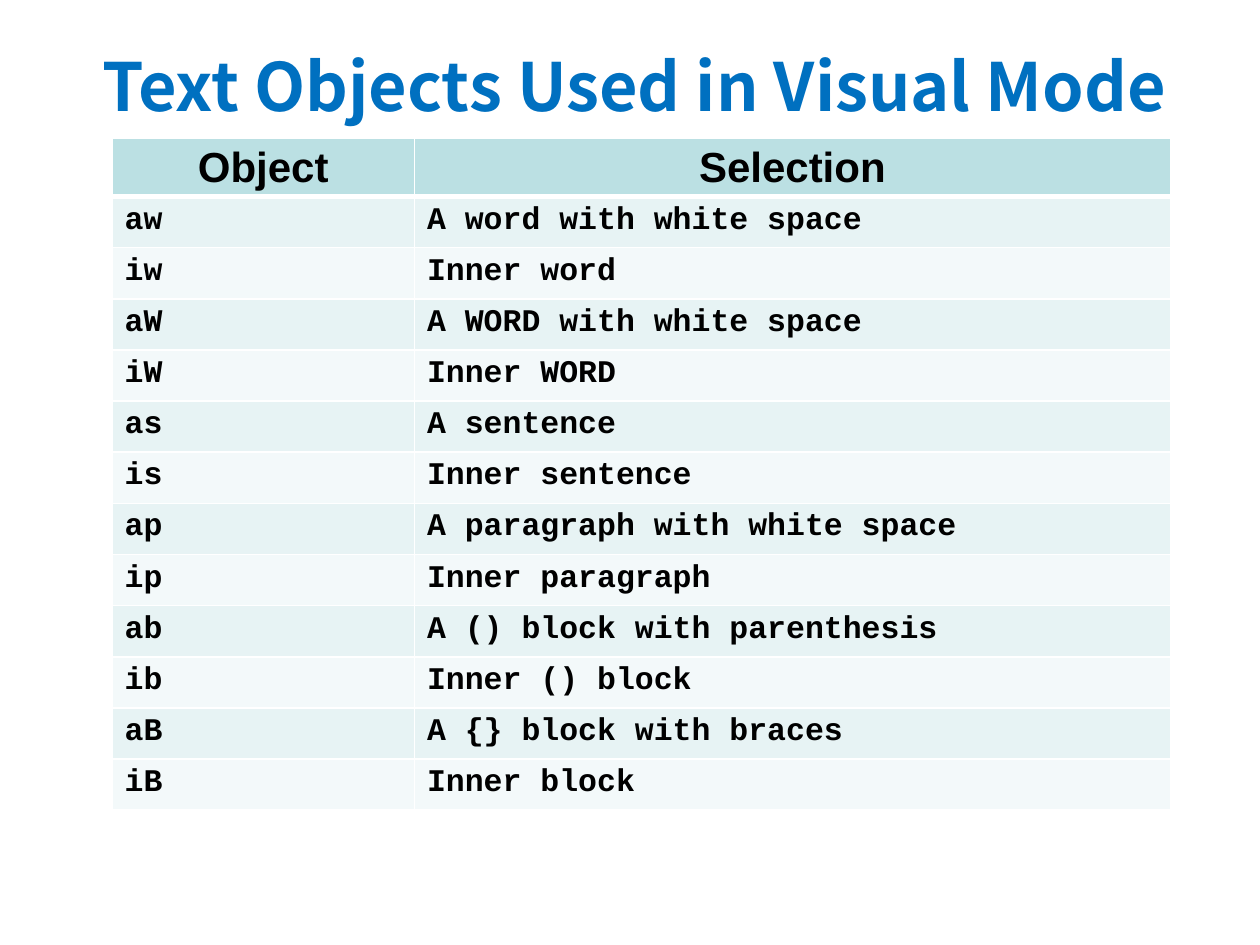
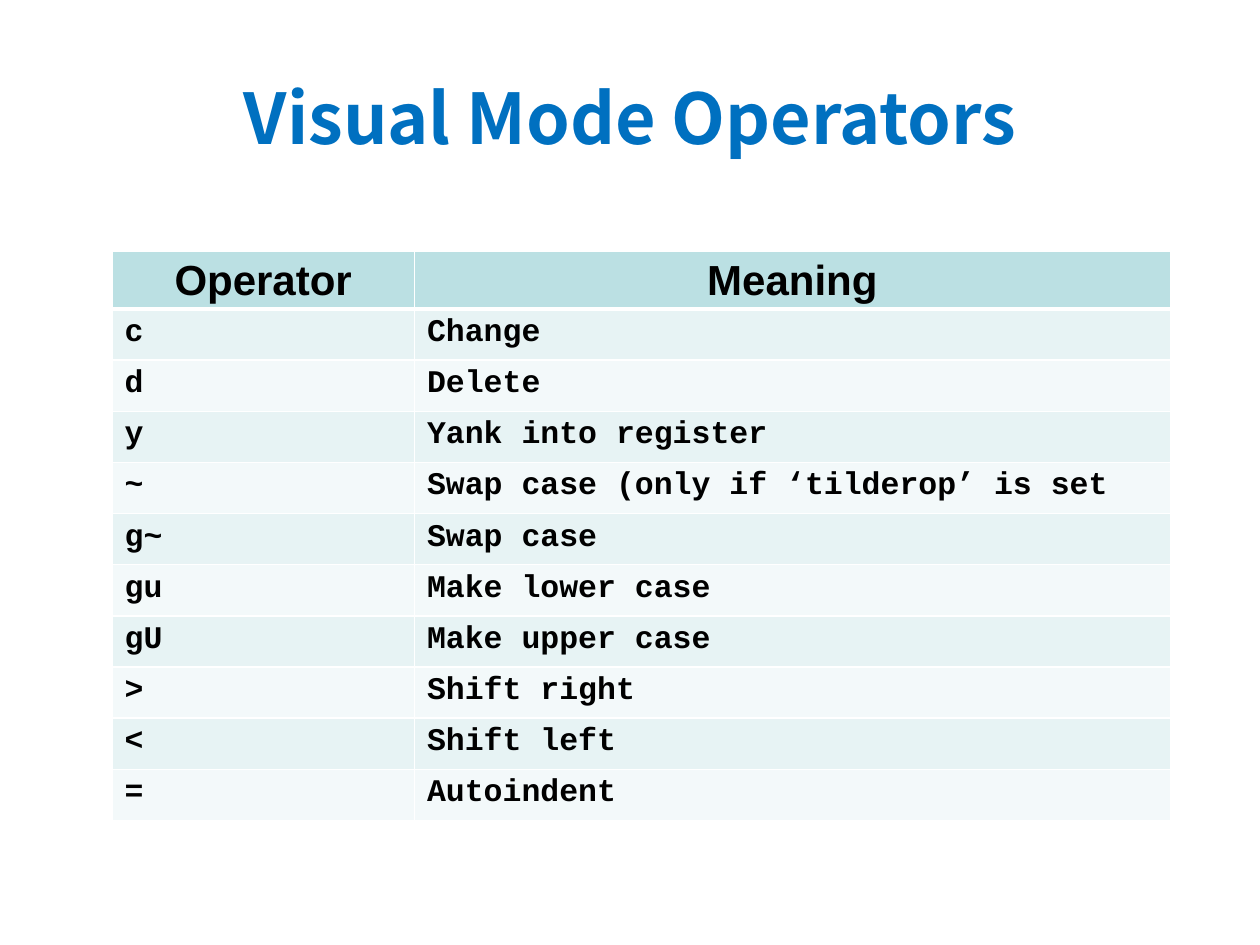
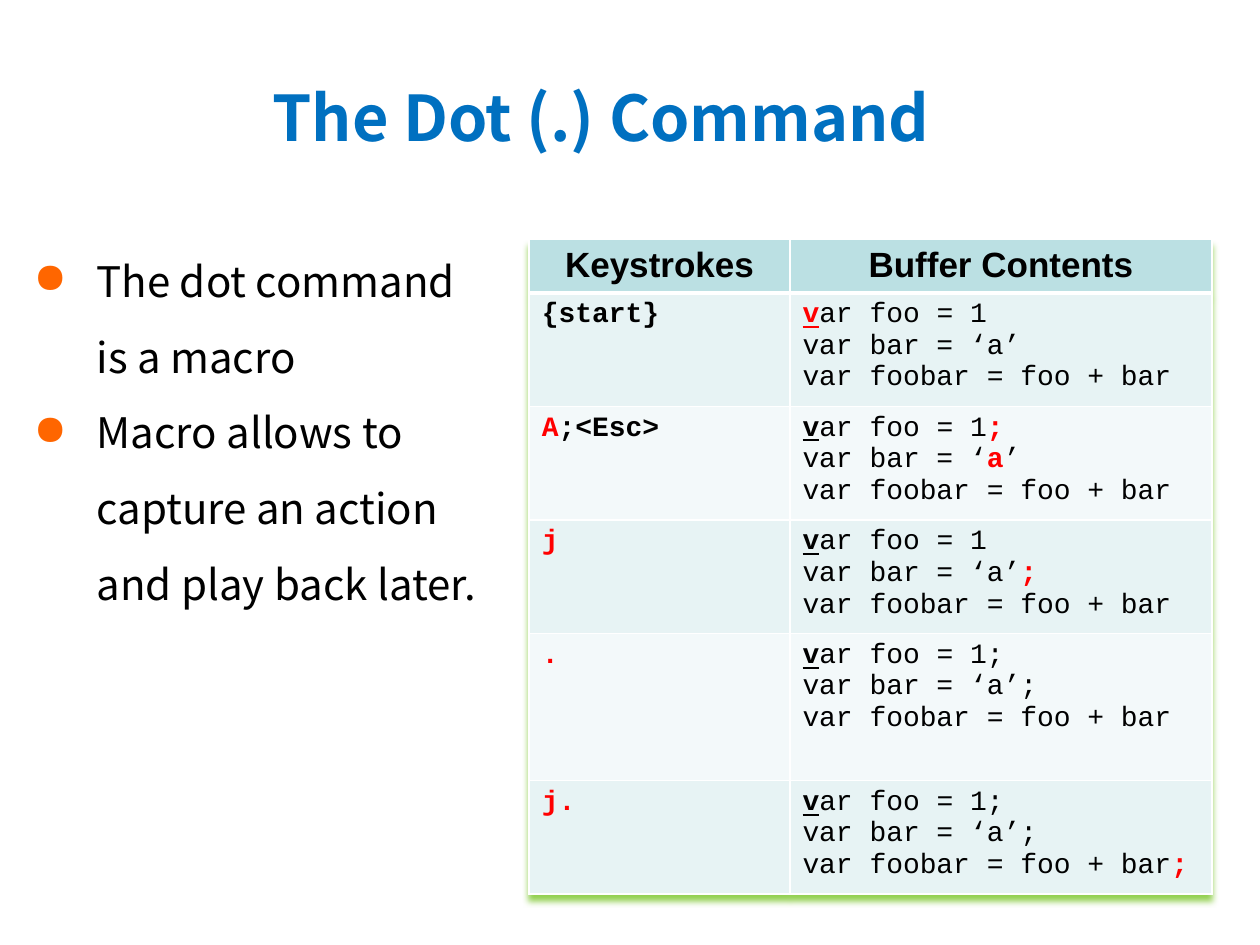
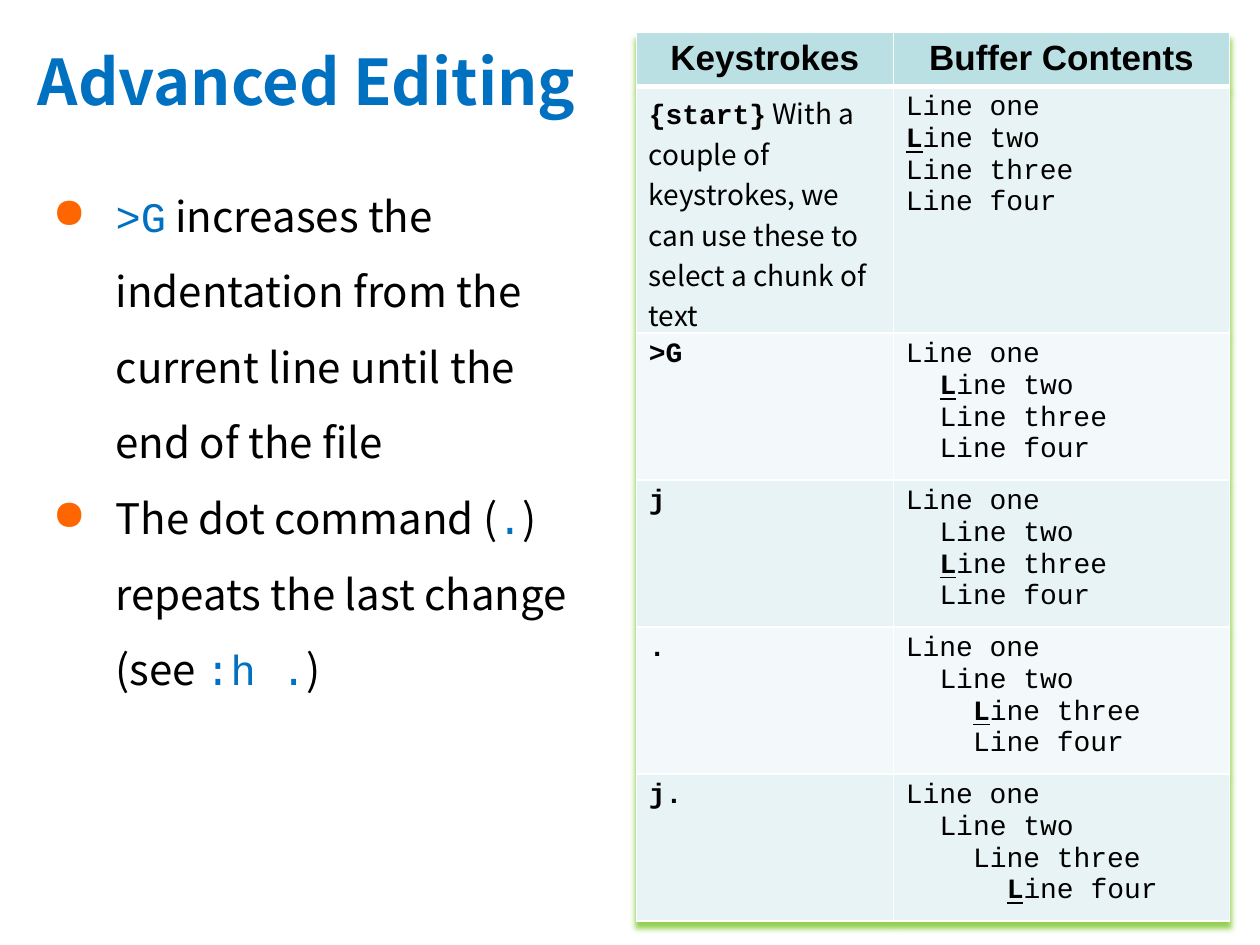
from pptx import Presentation
from pptx.dml.color import RGBColor
from pptx.enum.text import MSO_ANCHOR as Anchor, MSO_AUTO_SIZE as AutoSize, PP_ALIGN as Align
from pptx.oxml import parse_xml
from pptx.oxml.ns import nsdecls
from pptx.util import Pt

BLUE = RGBColor(0x00, 0x70, 0xC0)
BLACK = RGBColor(0x00, 0x00, 0x00)
RED = RGBColor(0xFF, 0x00, 0x00)
ORANGE = RGBColor(0xFF, 0x66, 0x00)
WHITE = RGBColor(0xFF, 0xFF, 0xFF)
GREEN = RGBColor(0x92, 0xD0, 0x50)
HEADER_FILL = RGBColor(0xBB, 0xE0, 0xE3)
BAND_FILLS = [RGBColor(0xE7, 0xF3, 0xF4), RGBColor(0xF3, 0xF9, 0xFA)]

SANS, CODE = "Noto Sans CJK SC", "Courier New"

# Span formats
HOT = {"color": RED, "bold": True}
CURSOR = {"bold": True, "underline": True}
HOT_CURSOR = {**CURSOR, "color": RED}
COMMAND = {"name": CODE, "color": BLUE}
PROSE = {"name": SANS, "bold": False}


def write(para, spans, base):
    """Write plain strings or (text, format) pairs over a base format."""
    for item in [spans] if isinstance(spans, str) else spans:
        text, extra = (item, {}) if isinstance(item, str) else item
        span = para.add_run()
        span.text = text
        for key, value in {**base, **extra}.items():
            if key == "color":
                span.font.color.rgb = value
            else:
                setattr(span.font, key, value)


def add_grid(page, left, top, widths, heights, rows, header_size, code_size, code_bold, shadow):
    """Add a banded table; each body cell is a list of (indent level, spans) lines."""
    frame = page.shapes.add_table(len(rows), len(widths), Pt(left), Pt(top),
                                  Pt(sum(widths)), Pt(sum(heights)))
    grid = frame.table
    for column, width in zip(grid.columns, widths):
        column.width = Pt(width)
    for row, height in zip(grid.rows, heights):
        row.height = Pt(height)
    if shadow:
        grid._tbl.tblPr.insert(0, parse_xml(
            f'<a:effectLst {nsdecls("a")}><a:outerShdw blurRad="40000" dist="50000" dir="5400000">'
            f'<a:srgbClr val="{GREEN}"/></a:outerShdw></a:effectLst>'))
    for r, row in enumerate(rows):
        for c, lines in enumerate(row):
            cell = grid.cell(r, c)
            for side in "LRTB":
                heavy = (r == 0 and side == "B") or (r == 1 and side == "T")
                cell._tc.get_or_add_tcPr().append(parse_xml(
                    f'<a:ln{side} {nsdecls("a")} w="{Pt(3 if heavy else 1)}"><a:solidFill>'
                    f'<a:srgbClr val="{WHITE}"/></a:solidFill></a:ln{side}>'))
            cell.fill.solid()
            cell.fill.fore_color.rgb = BAND_FILLS[(r - 1) % 2] if r else HEADER_FILL
            cell.margin_bottom = 0
            if r == 0:
                para = cell.text_frame.paragraphs[0]
                para.alignment = Align.CENTER
                write(para, lines, {"name": "Arial", "size": Pt(header_size),
                                    "color": BLACK, "bold": True})
                continue
            base = {"name": CODE, "size": Pt(code_size), "color": BLACK,
                    "bold": c == 0 or code_bold}
            for i, (level, spans) in enumerate(lines):
                para = cell.text_frame.add_paragraph() if i else cell.text_frame.paragraphs[0]
                if level:
                    para._p.get_or_add_pPr().set("marL", str(Pt(19.2 * level)))
                write(para, spans, base)


deck = Presentation()
deck.slide_width, deck.slide_height = Pt(720), Pt(540)

# Titles: text, size, place, alignment
titles = [
    ("Text Objects Used in Visual Mode", 38, (23, 3.6, 679, 90), Align.CENTER),
    ("Visual Mode Operators", 40, (36, 21.6, 648, 90), Align.CENTER),
    ("The Dot (.) Command", 36, (23, 21.6, 641, 90), Align.CENTER),
    ("Advanced Editing", 36, (14.4, 0.7, 648, 90), Align.LEFT),
]
pages = []
for text, size, place, align in titles:
    page = deck.slides.add_slide(deck.slide_layouts[5])
    box = page.shapes.title
    box.left, box.top, box.width, box.height = [Pt(v) for v in place]
    frame = box.text_frame
    for key, value in {"word_wrap": True, "auto_size": AutoSize.NONE,
                       "vertical_anchor": Anchor.MIDDLE}.items():
        setattr(frame, key, value)
    frame.paragraphs[0].alignment = align
    write(frame.paragraphs[0], text,
          {"name": SANS, "size": Pt(size), "color": BLUE, "bold": True})
    pages.append(page)

# Slides 1 and 2: reference tables
text_objects = [
    ("Object", "Selection"),
    ("aw", "A word with white space"),
    ("iw", "Inner word"),
    ("aW", "A WORD with white space"),
    ("iW", "Inner WORD"),
    ("as", "A sentence"),
    ("is", "Inner sentence"),
    ("ap", "A paragraph with white space"),
    ("ip", "Inner paragraph"),
    ("ab", "A () block with parenthesis"),
    ("ib", "Inner () block"),
    ("aB", "A {} block with braces"),
    ("iB", "Inner block"),
]
operators = [
    ("Operator", "Meaning"),
    ("c", "Change"),
    ("d", "Delete"),
    ("y", "Yank into register"),
    ("~", "Swap case (only if ‘tilderop’ is set"),
    ("g~", "Swap case"),
    ("gu", "Make lower case"),
    ("gU", "Make upper case"),
    (">", "Shift right"),
    ("<", "Shift left"),
    ("=", "Autoindent"),
]
for page, top, entries in [(pages[0], 79.2, text_objects), (pages[1], 143.5, operators)]:
    rows = [entries[0]] + [[[(0, text)] for text in entry] for entry in entries[1:]]
    heights = [33.1] + [29.25] * (len(rows) - 1)
    add_grid(page, 64, top, [172.8, 432], heights, rows, 24, 18, True, False)

# Slides 3 and 4: bullets
bullets = [
    (pages[2], (12.2, 128.2, 273.6, 225.4), [
        "The dot command is a macro",
        "Macro allows to capture an action and play back later.",
    ]),
    (pages[3], (23, 90.7, 315.4, 312.5), [
        [(">G", COMMAND),
         " increases the indentation from the current line until the end of the file"],
        ["The dot command (", (".", COMMAND), ") repeats the last change (see ",
         (":h .", COMMAND), ")"],
    ]),
]
for page, place, items in bullets:
    frame = page.shapes.add_textbox(*[Pt(v) for v in place]).text_frame
    frame.word_wrap = True
    for i, spans in enumerate(items):
        para = frame.add_paragraph() if i else frame.paragraphs[0]
        para.line_spacing = 1.5
        props = para._p.get_or_add_pPr()
        props.set("marL", str(Pt(36)))
        props.set("indent", str(-Pt(36)))
        props.append(parse_xml(
            f'<a:buClr {nsdecls("a")}><a:srgbClr val="{ORANGE}"/></a:buClr>'))
        props.append(parse_xml(f'<a:buChar {nsdecls("a")} char="●"/>'))
        write(para, spans, {"name": SANS, "size": Pt(24), "color": BLACK})

# Slide 3: keystrokes and the buffer after each
header = ("Keystrokes", "Buffer Contents")
FOO, BAR, FOOBAR = "ar foo = 1", "var bar = ‘a’", "var foobar = foo + bar"
dot_steps = [
    ("{start}", [[("v", HOT_CURSOR), FOO], BAR, FOOBAR]),
    ([("A", HOT), ";<Esc>"],
     [[("v", CURSOR), FOO, (";", HOT)], ["var bar = ‘", ("a", HOT), "’"], FOOBAR]),
    ([("j", HOT)], [[("v", CURSOR), FOO], [BAR, (";", HOT)], FOOBAR]),
    ([(".", HOT)], [[("v", CURSOR), FOO + ";"], BAR + ";", FOOBAR]),
    ([("j.", HOT)], [[("v", CURSOR), FOO + ";"], BAR + ";", [FOOBAR, (";", HOT)]]),
]
rows = [header] + [([(0, keys)], [(0, line) for line in buffer]) for keys, buffer in dot_steps]
add_grid(pages[2], 302.4, 136.8, [149, 241.2], [30.6, 64.9, 64.9, 64.9, 84, 64.9],
         rows, 20, 16, False, True)

# Slide 4: keystrokes, indent level of each line, line with the cursor
indent_steps = [
    (["{start}", (" With a couple of keystrokes, we can use these to select a chunk of text",
                  PROSE)], (0, 0, 0, 0), 1),
    (">G", (0, 1, 1, 1), 1),
    ("j", (0, 1, 1, 1), 2),
    (".", (0, 1, 2, 2), 2),
    ("j.", (0, 1, 2, 3), 3),
]
rows = [header]
for keys, levels, cursor in indent_steps:
    buffer = []
    for i, (level, number) in enumerate(zip(levels, ["one", "two", "three", "four"])):
        rest = f"ine {number}"
        buffer.append((level, [("L", CURSOR), rest] if i == cursor else "L" + rest))
    rows.append(([(0, keys)], buffer))
add_grid(pages[3], 363.6, 18.7, [146.9, 192.2], [30.6, 141.1] + [84] * 4,
         rows, 20, 16, False, True)

deck.save("out.pptx")
